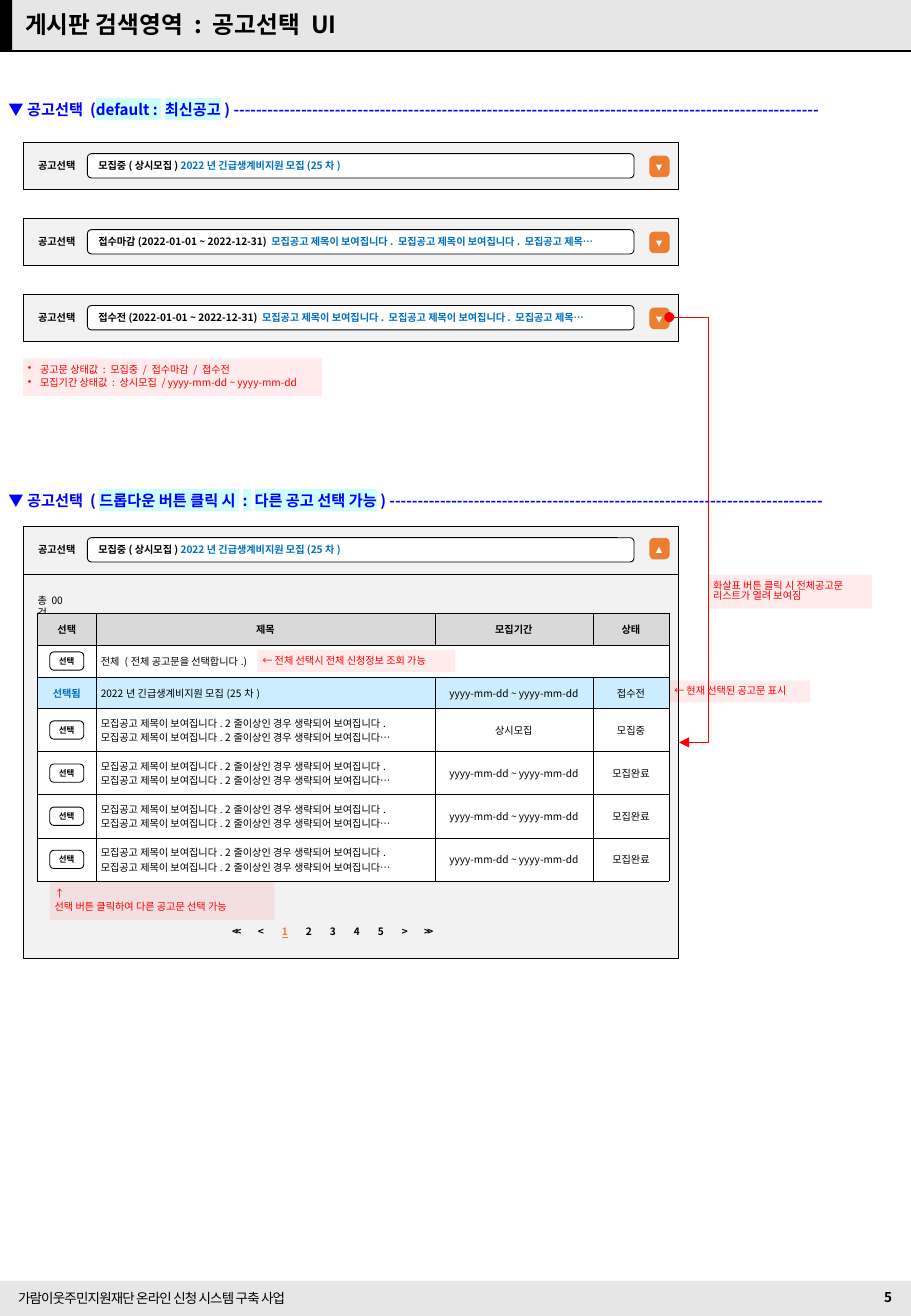
from dataclasses import dataclass
from itertools import accumulate
from typing import NamedTuple

from lxml import etree
from pptx import Presentation
from pptx import util as u
from pptx.dml.color import RGBColor
from pptx.enum import shapes, text
from pptx.oxml.ns import qn


@dataclass(frozen=True)
class Theme:
    font: str = "Noto Sans CJK KR"
    black: str = "000000"
    white: str = "FFFFFF"
    band: str = "E7E6E6"
    panel: str = "F2F2F2"
    header: str = "D9D9D9"
    chosen: str = "CCECFF"
    mark: str = "CCFFFF"
    heading: str = "0000FF"
    link: str = "0070C0"
    accent: str = "ED7D31"
    note: str = "FF0000"
    title_size: float = 14
    heading_size: float = 9
    footer_size: float = 8
    body_size: float = 6
    button_size: float = 5


class Box(NamedTuple):
    """A place on the grid: first column, first row, columns, rows."""
    col: float
    row: float
    cols: float
    rows: float


class Span(NamedTuple):
    text: str
    color: str = Theme.black
    bold: bool = False
    size: float = Theme.body_size
    underline: bool = False
    highlight: str = ""
    spacing: float = 0


class Picker(NamedTuple):
    row: float
    status: str
    title: str
    is_open: bool = False


class Note(NamedTuple):
    box: Box
    lines: list[str]
    bullets: bool = False


class Heading(NamedTuple):
    row: float
    marked: str
    dashes: int


THEME = Theme()
KIND, ALIGN, MIDDLE = shapes.MSO_SHAPE, text.PP_ALIGN, text.MSO_ANCHOR.MIDDLE
GRID_COLS, GRID_ROWS = 750, 1083
NO_INSET = (0, 0, 0, 0)
LABEL_INSET = (4, 5, 4, 5)

deck = Presentation()
deck.slide_width, deck.slide_height = u.Inches(7.5), u.Inches(10.83)
page = deck.slides.add_slide(deck.slide_layouts[6])


def across(cols: float) -> u.Emu:
    return u.Emu(round(deck.slide_width * cols / GRID_COLS))


def down(rows: float) -> u.Emu:
    return u.Emu(round(deck.slide_height * rows / GRID_ROWS))


def place(box: Box) -> tuple:
    return across(box.col), down(box.row), across(box.cols), down(box.rows)


def child(parent, tag: str, **values):
    return etree.SubElement(parent, qn(tag), values)


def write(holder, lines: list[list[Span]], inset=(10, 5, 10, 5), anchor=text.MSO_ANCHOR.TOP,
          bullets: bool = False, **para_format) -> None:
    """Fill a text frame or a table cell; each line is one paragraph."""
    for side, size in zip(("left", "top", "right", "bottom"), inset):
        setattr(holder, f"margin_{side}", across(size))
    holder.vertical_anchor = anchor
    frame = getattr(holder, "text_frame", holder)
    frame.word_wrap = True
    for index, spans in enumerate(lines):
        para = frame.add_paragraph() if index else frame.paragraphs[0]
        for name, value in para_format.items():
            setattr(para, name, value)
        if bullets:
            indent = across(10)
            props = para._p.get_or_add_pPr()
            props.set("marL", str(indent))
            props.set("indent", str(-indent))
            child(props, "a:buChar", char="•")
        for span in spans:
            add_span(para, span)
        if not spans:
            child(para._p, "a:endParaRPr", sz=str(THEME.body_size * 100))


def add_span(para, span: Span) -> None:
    run = para.add_run()
    run.text = span.text
    formats = {"name": THEME.font, "size": u.Pt(span.size), "bold": span.bold, "underline": span.underline}
    for name, value in formats.items():
        setattr(run.font, name, value)
    run.font.color.rgb = RGBColor.from_string(span.color)
    props = run._r.get_or_add_rPr()
    latin = props.find(qn("a:latin"))
    latin.addnext(etree.Element(qn("a:ea"), typeface=THEME.font))
    if span.highlight:
        mark = etree.Element(qn("a:highlight"))
        child(mark, "a:srgbClr", val=span.highlight)
        latin.addprevious(mark)
    if span.spacing:
        props.set("spc", str(round(span.spacing * 100)))


def add_box(box: Box, fill: str, line: str = "", kind=KIND.RECTANGLE, radius: float = 0, opacity: int = 100):
    shape = page.shapes.add_shape(kind, *place(box))
    shape.shadow.inherit = False
    shape.fill.solid()
    shape.fill.fore_color.rgb = RGBColor.from_string(fill)
    if opacity < 100:
        color = shape._element.spPr.find(qn("a:solidFill"))[0]
        child(color, "a:alpha", val=str(opacity * 1000))
    if line:
        shape.line.color.rgb = RGBColor.from_string(line)
        shape.line.width = u.Pt(0.5)
    else:
        shape.line.fill.background()
    if radius:
        shape.adjustments[0] = radius
    return shape


def add_text(box: Box, spans: list[Span], **layout) -> None:
    write(page.shapes.add_textbox(*place(box)).text_frame, [spans], **layout)


def add_line(start: tuple, end: tuple, color: str, width: float, kind=shapes.MSO_CONNECTOR.STRAIGHT):
    line = page.shapes.add_connector(kind, across(start[0]), down(start[1]), across(end[0]), down(end[1]))
    line.line.color.rgb = RGBColor.from_string(color)
    line.line.width = u.Pt(width)
    child(line._element.spPr, "a:effectLst")
    return line


def add_picker(picker: Picker) -> None:
    row, lift = picker.row, 1.5 if picker.is_open else 0
    if not picker.is_open:
        add_box(Box(19, row, 540, 39), THEME.panel, THEME.black)
    field = add_box(Box(72, row + 9.5, 450, 20), THEME.white, THEME.black, KIND.ROUNDED_RECTANGLE)
    spans = [Span(picker.status + " ", bold=True), Span(picker.title, THEME.link, True)]
    write(field.text_frame, [spans], (8, 0, 0, 0), MIDDLE, alignment=ALIGN.LEFT)
    add_text(Box(24, row + 9.5, 42, 20), [Span("공고선택", bold=True)], inset=LABEL_INSET, alignment=ALIGN.RIGHT)
    add_box(Box(535, row + 11.5 - lift, 16, 17), THEME.accent, THEME.accent, KIND.ROUNDED_RECTANGLE, 0.225)
    arrow = add_box(Box(540, row + 18.5 - lift, 5, 5), THEME.white, kind=KIND.ISOSCELES_TRIANGLE)
    arrow.rotation = 0 if picker.is_open else 180


def add_grid(box: Box, widths: list[float], heights: list[float]):
    table = page.shapes.add_table(len(heights), len(widths), *place(box)).table
    table.first_row = table.horz_banding = False
    for column, width in zip(table.columns, widths):
        column.width = across(width)
    for line, height in zip(table.rows, heights):
        line.height = down(height)
    return table


def style_cell(cell, fill: str = "", border: str = "") -> None:
    if fill:
        cell.fill.solid()
        cell.fill.fore_color.rgb = RGBColor.from_string(fill)
    else:
        cell.fill.background()
    props = cell._tc.get_or_add_tcPr()
    for index, side in enumerate("LRTB"):
        edge = etree.Element(qn(f"a:ln{side}"), w=str(u.Pt(0.25)))
        if border:
            child(child(edge, "a:solidFill"), "a:srgbClr", val=border)
        else:
            child(edge, "a:noFill")
        props.insert(index, edge)


# Header and footer bands
add_box(Box(0, 1054, 750, 29), THEME.band)
add_text(Box(5, 1057, 268, 24), [Span("가람이웃주민지원재단 온라인 신청 시스템 구축 사업", size=THEME.footer_size, spacing=-0.5)])
add_text(Box(718, 1056, 32, 24), [Span("5", bold=True, size=THEME.footer_size)])
add_box(Box(0, 0, 750, 42), THEME.band)
add_line((0, 42), (750, 42), THEME.black, 1.5)
add_box(Box(0, 0, 10, 42), THEME.black)
add_text(Box(11, 4, 686, 31), [Span("게시판 검색영역 : 공고선택 UI", bold=True, size=THEME.title_size)], anchor=MIDDLE)

# Section headings
for heading in (Heading(78, "default : 최신공고", 104), Heading(399, "드롭다운 버튼 클릭 시 : 다른 공고 선택 가능", 77)):
    base = Span("", THEME.heading, True, THEME.heading_size)
    add_text(Box(7, heading.row, 743, 25), [
        base._replace(text="▼ 공고선택 ("), base._replace(text=heading.marked, highlight=THEME.mark),
        base._replace(text=") " + "-" * heading.dashes)], inset=(0, 5, 0, 5))

# Notice pickers
add_box(Box(19, 433, 540, 356), THEME.panel, THEME.black)
add_line((19, 473), (559, 473), THEME.black, 0.5)
LATEST = ("모집중(상시모집)", "2022년 긴급생계비지원 모집(25차)")
LONG_TITLE = " ".join(["모집공고 제목이 보여집니다."] * 2 + ["모집공고 제목…"])
for picker in (Picker(117, *LATEST), Picker(179.5, "접수마감(2022-01-01 ~ 2022-12-31)", LONG_TITLE),
               Picker(242, "접수전(2022-01-01 ~ 2022-12-31)", LONG_TITLE), Picker(433, *LATEST, True)):
    add_picker(picker)

# Notice list
add_text(Box(27, 484, 46, 20), [Span("총 00 건")], inset=(4, 5, 10, 5))
PERIOD = "yyyy-mm-dd ~ yyyy-mm-dd"
SENTENCE = "모집공고 제목이 보여집니다. 2줄이상인 경우 생략되어 보여집니다"
SUMMARY = f"{SENTENCE}.\n{SENTENCE}…"
notices = [["선택", "제목", "모집기간", "상태"], ["", "전체 (전체 공고문을 선택합니다.)", "", ""],
           ["선택됨", LATEST[1], PERIOD, "접수전"], ["", SUMMARY, "상시모집", "모집중"],
           *[["", SUMMARY, PERIOD, "모집완료"]] * 3]
heights = [26] * 3 + [35.5] * 4
tops = list(accumulate(heights, initial=505))
table = add_grid(Box(31, tops[0], 520, sum(heights)), [48, 279, 130, 63], heights)
fills = {0: THEME.header, 2: THEME.chosen}
for row, notice in enumerate(notices):
    for col, words in enumerate(notice):
        cell = table.cell(row, col)
        style_cell(cell, fills.get(row, THEME.white), THEME.black)
        span = Span("", THEME.link if words == "선택됨" else THEME.black, row == 0 or words == "선택됨")
        lines = [[span._replace(text=line)] if line else [] for line in words.split("\n")]
        write(cell, lines, LABEL_INSET, MIDDLE, alignment=ALIGN.LEFT if row and col == 1 else ALIGN.CENTER)
    if row and not notice[0]:
        button = add_box(Box(41, tops[row] + heights[row] / 2 - 7.5, 28, 15), THEME.white, THEME.black,
                         KIND.ROUNDED_RECTANGLE, 0.225)
        write(button.text_frame, [[Span("선택", bold=True, size=THEME.button_size)]], NO_INSET, MIDDLE,
              alignment=ALIGN.CENTER)
table.cell(1, 1).merge(table.cell(1, 3))

# Page numbers
labels = ["<<", "<", "1", "2", "3", "4", "5", ">", ">>"]
pager = add_grid(Box(185, 755, 178, 20), [178 / len(labels)] * len(labels), [20])
for col, label in enumerate(labels):
    current = label == "1"
    span = Span(label, THEME.accent if current else THEME.black, True, underline=current,
                spacing=0 if label.isdigit() else -1.5)
    style_cell(pager.cell(0, col))
    write(pager.cell(0, col), [[span]], (0, 5, 0, 5), alignment=ALIGN.CENTER)

# Arrow from the dropdown button to the list
arrow = add_line((551, 261), (559, 611), THEME.note, 0.5, shapes.MSO_CONNECTOR.ELBOW)
child(arrow._element.spPr.find(qn("a:prstGeom")).find(qn("a:avLst")), "a:gd", name="adj1", fmla="val 406100")
stroke = arrow._element.spPr.find(qn("a:ln"))
child(stroke, "a:headEnd", type="oval")
child(stroke, "a:tailEnd", type="triangle")

# Red notes
for note in (
    Note(Box(19, 295, 246, 31), ["공고문 상태값 : 모집중 / 접수마감 / 접수전", f"모집기간 상태값 : 상시모집 / {PERIOD}"], True),
    Note(Box(583, 473, 135, 28), ["화살표 버튼 클릭 시 전체공고문 리스트가 열려 보여짐"]),
    Note(Box(551, 560, 116, 18), ["← 현재 선택된 공고문 표시"]),
    Note(Box(212, 535, 163, 18), ["← 전체 선택시 전체 신청정보 조회 가능"]),
    Note(Box(41, 726, 185, 31), ["↑", "선택 버튼 클릭하여 다른 공고문 선택 가능"]),
):
    shape = add_box(note.box, THEME.note, opacity=8)
    write(shape.text_frame, [[Span(line, THEME.note)] for line in note.lines], (4, 4, 4, 4), MIDDLE, note.bullets,
          alignment=ALIGN.LEFT, line_spacing=0.82, space_after=u.Pt(2))

deck.save("out.pptx")
